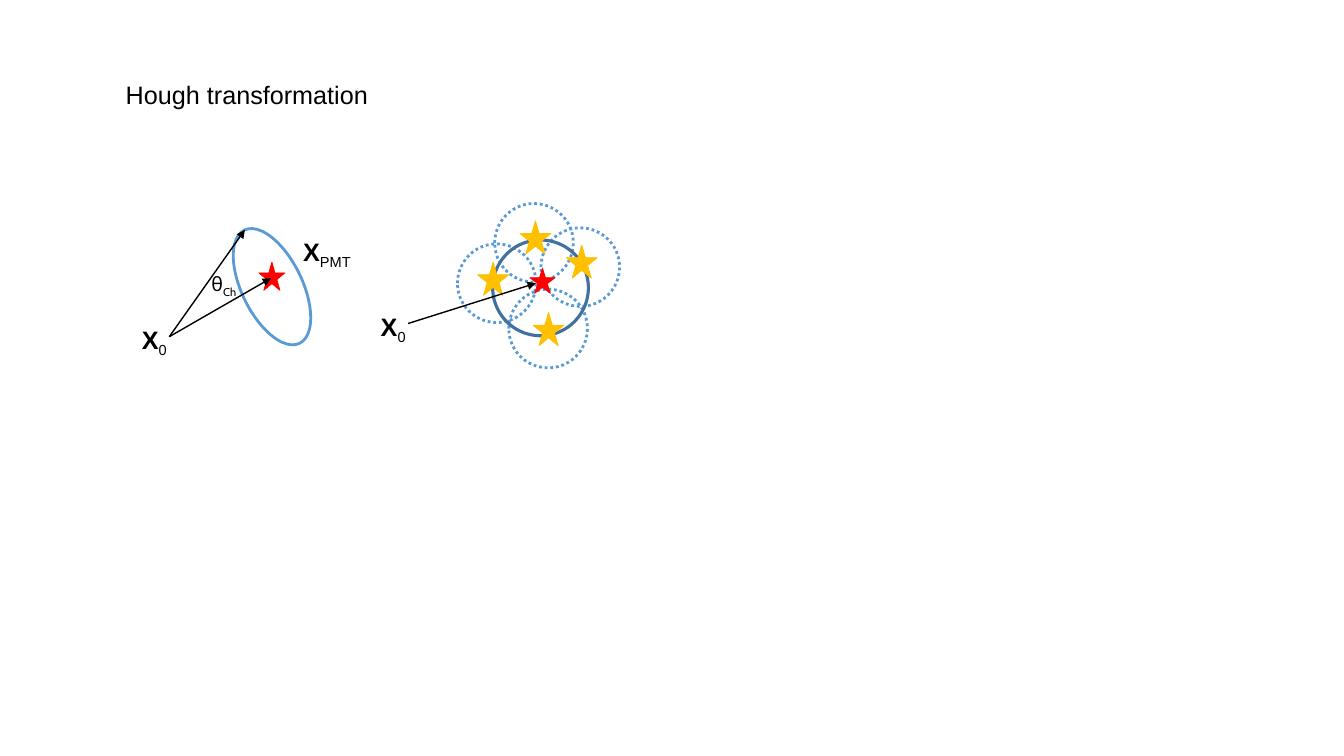
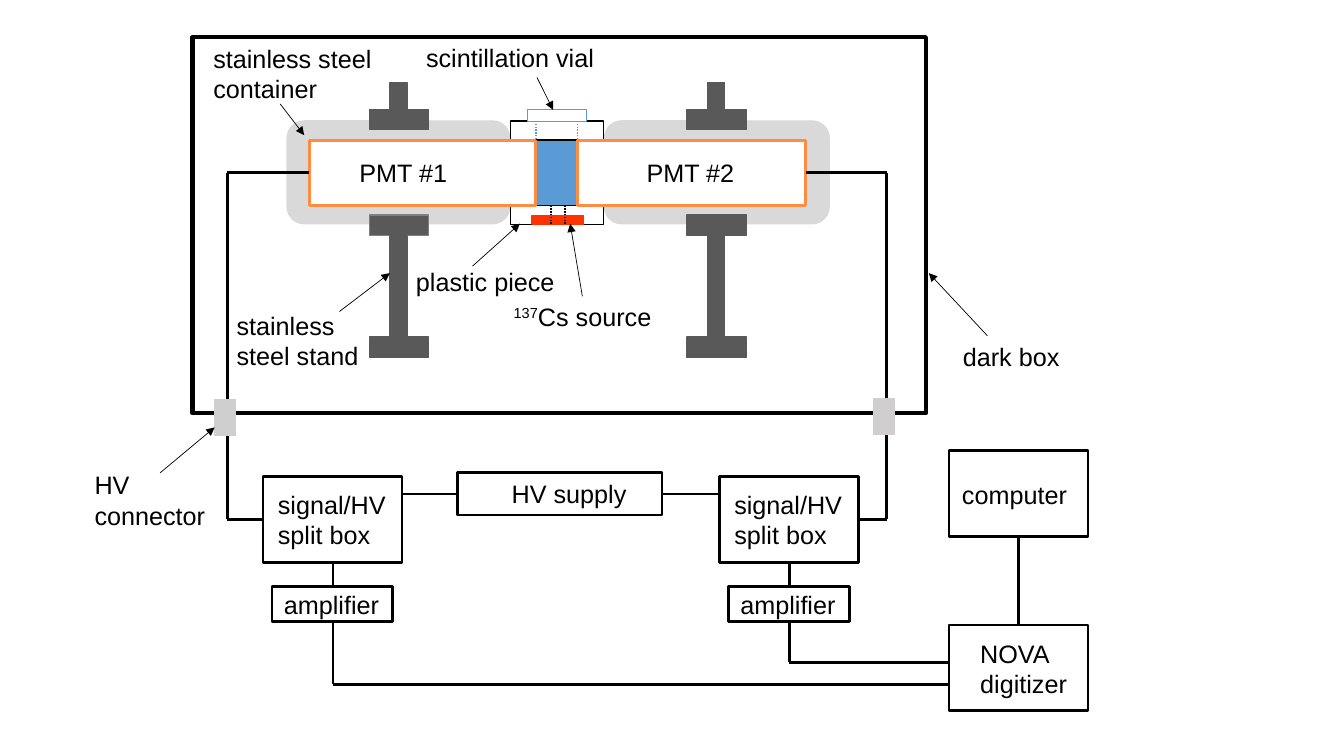
"""Build two slides: a Hough transformation sketch and a detector set-up."""
from itertools import pairwise

from lxml import etree
from pptx import Presentation
from pptx.dml.color import RGBColor
from pptx.enum import dml, shapes, text
from pptx.oxml.ns import qn
from pptx.util import Pt

BLACK, WHITE, BLUE, DARK_BLUE = "000000", "FFFFFF", "5B9BD5", "41719C"
RED, YELLOW, ORANGE, SOURCE_RED = "FF0000", "FFC000", "FF8D41", "FF3300"
STEEL, STEEL_EDGE, LIGHT_GRAY, CONNECTOR_GRAY = "595959", "808080", "D9D9D9", "D0CECE"
RECTANGLE = shapes.MSO_SHAPE.RECTANGLE
ROUNDED = shapes.MSO_SHAPE.ROUNDED_RECTANGLE
OVAL = shapes.MSO_SHAPE.OVAL
STAR = shapes.MSO_SHAPE.STAR_5_POINT
SUBSCRIPT, SUPERSCRIPT = -25000, 30000


def color(value):
    return RGBColor.from_string(value)


def style_line(line, value, width, dotted=False):
    line.color.rgb = color(value)
    line.width = Pt(width)
    if dotted:
        line.dash_style = dml.MSO_LINE.ROUND_DOT


def add_figure(slide, kind, box, fill=None, line=BLACK, width=1, dotted=False, rotation=0):
    shape = slide.shapes.add_shape(kind, *map(Pt, box))
    shape.shadow.inherit = False
    shape.rotation = rotation
    if fill:
        shape.fill.solid()
        shape.fill.fore_color.rgb = color(fill)
    else:
        shape.fill.background()
    style_line(shape.line, line, width, dotted)


def add_line(slide, start, end, width=2, value=BLACK, dotted=False, arrow=False):
    connector = slide.shapes.add_connector(
        shapes.MSO_CONNECTOR.STRAIGHT, *map(Pt, (*start, *end)))
    style_line(connector.line, value, width, dotted)
    properties = connector._element.spPr
    if arrow:
        outline = properties.find(qn("a:ln"))
        etree.SubElement(outline, qn("a:tailEnd"), type="triangle")
    etree.SubElement(properties, qn("a:effectLst"))


def add_wire(slide, *points):
    for start, end in pairwise(points):
        add_line(slide, start, end)


def add_label(slide, left, top, width, *lines, size=18, font="Arial"):
    """Write lines, each a string or a list of (text, bold, baseline) runs."""
    box = slide.shapes.add_textbox(Pt(left), Pt(top), Pt(width), Pt(29))
    frame = box.text_frame
    frame.word_wrap = True
    frame.auto_size = text.MSO_AUTO_SIZE.SHAPE_TO_FIT_TEXT
    for index, line in enumerate(lines):
        paragraph = frame.add_paragraph() if index else frame.paragraphs[0]
        runs = [(line, False, 0)] if isinstance(line, str) else line
        for words, bold, baseline in runs:
            run = paragraph.add_run()
            run.text = words
            if bold:
                run.font.bold = True
            if baseline:
                run._r.get_or_add_rPr().set("baseline", str(baseline))
        paragraph.font.size = Pt(size)
        paragraph.font.name = font
        paragraph.font.color.rgb = color(BLACK)


def add_vector_label(slide, left, top, width, index):
    add_label(slide, left, top, width, [("X", True, 0), (index, False, SUBSCRIPT)])


def add_star(slide, left, top, width, height, value):
    add_figure(slide, STAR, (left, top, width, height), value, value, 0.5)


def build_hough(slide):
    add_label(slide, 82.8, 53.3, 200, "Hough transformation")

    add_figure(slide, OVAL, (172.8, 159.8, 43.2, 90), line=BLUE, width=2, rotation=334)
    add_star(slide, 185, 187.2, 18.7, 20.2, RED)
    for tip in ((193.7, 198.7), (175, 164.2)):
        add_line(slide, (121, 240.5), tip, 1, arrow=True)
    add_vector_label(slide, 94.3, 228.2, 45, "0")
    add_vector_label(slide, 209.5, 164.9, 60, "PMT")
    add_label(slide, 144, 190.8, 45, [("θ", False, 0), ("Ch", False, SUBSCRIPT)],
              size=14, font="Cabin")

    for left, top in ((326.9, 174.2), (363.6, 206.6), (386.6, 162.7), (353.5, 145.4)):
        add_figure(slide, OVAL, (left, top, 56.2, 56.2), line=BLUE, width=2, dotted=True)
    add_star(slide, 378.7, 191.5, 18, 18, RED)
    add_vector_label(slide, 265, 218.9, 45, "0")
    add_figure(slide, OVAL, (352.1, 171.4, 68.4, 68.4), line=DARK_BLUE, width=2.25)
    for left, top in ((380.9, 223.2), (404.6, 175), (371.5, 157.7), (341.3, 187.2)):
        add_star(slide, left, top, 22.3, 23.8, YELLOW)
    add_line(slide, (291.6, 231.1), (383, 202.3), 1, arrow=True)


def add_stand(slide, left, collar_edge=STEEL):
    for top, edge in ((78.1, STEEL), (153.7, collar_edge), (240.8, STEEL)):
        add_figure(slide, RECTANGLE, (left, top, 42.5, 14.4), STEEL, edge)
    for top, height in ((59, 27.4), (168.5, 76.3)):
        add_figure(slide, RECTANGLE, (left + 14.9, top, 12.2, height), STEEL, STEEL)


def build_detector(slide):
    add_figure(slide, RECTANGLE, (137.5, 26.6, 524.2, 268.6), width=3)
    add_figure(slide, RECTANGLE, (383.4, 86.8, 28.8, 59.8), BLUE, BLUE)
    for left, width in ((205.2, 159.1), (432, 160.6)):
        add_figure(slide, ROUNDED, (left, 86.4, width, 73.4), LIGHT_GRAY, LIGHT_GRAY)
    for top in (146.9, 86.4):
        add_figure(slide, RECTANGLE, (365, top, 66.2, 13.7), WHITE)
    for left, width in ((221, 162), (412.6, 163.4)):
        add_figure(slide, RECTANGLE, (left, 100.1, width, 46.8), WHITE, ORANGE, 2)
    add_figure(slide, RECTANGLE, (380.2, 154.1, 36.7, 5.8), SOURCE_RED, SOURCE_RED)
    add_figure(slide, RECTANGLE, (376.9, 78.1, 42.5, 8.6), WHITE, BLUE)
    add_stand(slide, 263.9, STEEL_EDGE)
    add_stand(slide, 490.9)
    for x in (393.8, 403.9):
        add_line(slide, (x, 146.9), (x, 159.8), 1, dotted=True)
    for x in (383, 412.6):
        add_line(slide, (x, 99.4), (x, 86.4), 1, BLUE, dotted=True)

    add_wire(slide, (221, 123.4), (162.4, 123.4), (162.4, 371), (187.9, 371))
    add_wire(slide, (576, 123.4), (633.6, 123.4), (633.6, 371), (612.7, 371))
    for left, top in ((153.4, 285.8), (624.2, 285.1)):
        add_figure(slide, RECTANGLE, (left, top, 15.1, 25.2),
                   CONNECTOR_GRAY, CONNECTOR_GRAY)


def build_readout(slide):
    for shift in (0, 326.2):
        add_figure(slide, RECTANGLE, (187.9 + shift, 340.6, 99.4, 61.2), width=2)
        add_label(slide, 191.5 + shift, 345.6, 96, "signal/HV", "split box")
        add_figure(slide, RECTANGLE, (194.4 + shift, 418.7, 86.4, 25.2), width=2)
        add_label(slide, 195.8 + shift, 417.3, 85, "amplifier")
        add_wire(slide, (238 + shift, 401.8), (238 + shift, 418.7))
    add_figure(slide, RECTANGLE, (326.9, 337.7, 146.2, 30.2), width=2)
    add_label(slide, 358.6, 338.4, 160, "HV supply")
    for top in (446.4, 321.8):
        add_figure(slide, RECTANGLE, (678.2, top, 99.4, 61.2), width=2)
    add_label(slide, 693.4, 452.2, 95, "NOVA", "digitizer")
    add_label(slide, 680.4, 339.1, 95, "computer")
    add_wire(slide, (286.6, 352.8), (326.9, 352.8))
    add_wire(slide, (473.8, 352.8), (514.1, 352.8))
    add_wire(slide, (238, 443.9), (238, 488.9), (678.2, 488.9))
    add_wire(slide, (564.2, 443.9), (564.2, 473), (678.2, 473))
    add_wire(slide, (727.9, 446.4), (727.9, 383))


def annotate_detector(slide):
    for left, top, width, *lines in (
        (681, 240.5, 95, "dark box"),
        (60.5, 332, 100, "HV", "connector"),
        (249.8, 108.7, 85, "PMT #1"),
        (455, 108.7, 85, "PMT #2"),
        (360, 211.7, 125, [("137", False, SUPERSCRIPT), ("Cs source", False, 0)]),
        (297.4, 26.6, 145, "scintillation vial"),
        (290.2, 186.5, 125, "plastic piece"),
        (145.4, 27.4, 140, "stainless steel", "container"),
        (162, 218.2, 105, "stainless steel stand"),
    ):
        add_label(slide, left, top, width, *lines)
    for start, tip in (
        ((114.5, 337.7), (153.4, 305.3)),
        ((705.6, 239.8), (663.8, 195.1)),
        ((416.2, 211.7), (407.5, 159.8)),
        ((383.8, 55.4), (395.3, 78.5)),
        ((337.7, 190.1), (371.5, 159.8)),
        ((200.2, 74.2), (217.4, 96.5)),
        ((242.6, 222.5), (278.6, 195.1)),
    ):
        add_line(slide, start, tip, 0.5, arrow=True)


def main():
    presentation = Presentation()
    presentation.slide_width, presentation.slide_height = Pt(960.48), Pt(540)
    blank = presentation.slide_layouts[6]
    build_hough(presentation.slides.add_slide(blank))
    detector = presentation.slides.add_slide(blank)
    build_detector(detector)
    build_readout(detector)
    annotate_detector(detector)
    presentation.save("out.pptx")


if __name__ == "__main__":
    main()
